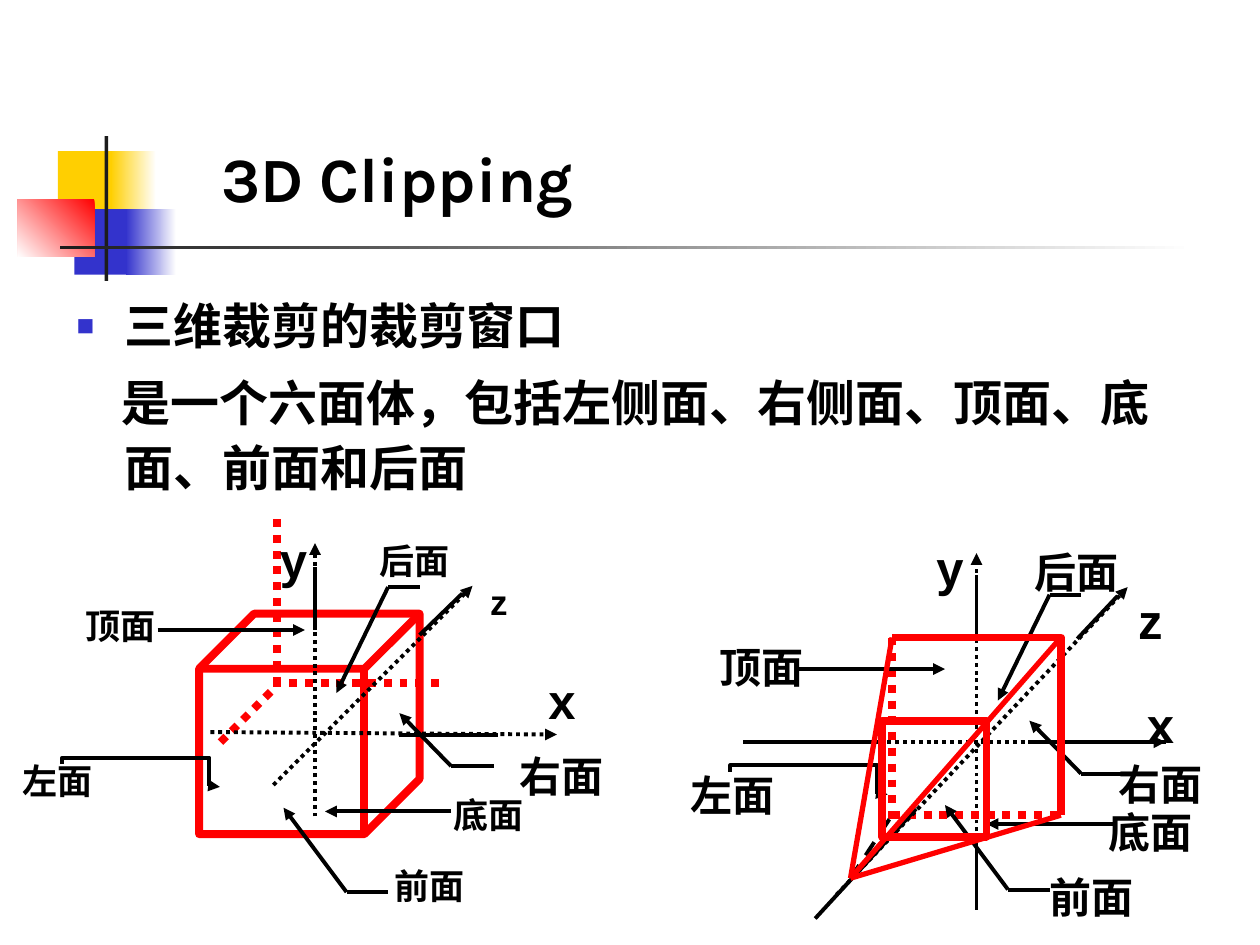
from lxml.etree import SubElement
from pptx import Presentation
from pptx.dml.color import RGBColor
from pptx.enum.dml import MSO_LINE as Dash
from pptx.enum.shapes import MSO_CONNECTOR as Link, MSO_SHAPE as Shape
from pptx.enum.text import MSO_ANCHOR as Anchor, PP_ALIGN as Align
from pptx.oxml.ns import qn
from pptx.util import Inches, Pt

RED, BLACK, WHITE, BLUE = "FF0000", "000000", "FFFFFF", "3333CC"
YELLOW, GREY = "FFCF01", "1C1C1C"
CJK = "Noto Sans CJK SC"


def color(value):
    return RGBColor.from_string(value)


class ClippingSlide:
    """Draws the elements of the clipping slide in one shared style."""

    def __init__(self, page):
        self.page = page
        self.shapes = page.shapes

    def start_group(self):
        self.shapes = self.page.shapes.add_group_shape().shapes

    def end_group(self):
        self.shapes = self.page.shapes

    def block(self, place, fill, fade=None, angle=180):
        shape = self.shapes.add_shape(Shape.RECTANGLE, *map(Inches, place))
        shape.shadow.inherit = False
        shape.line.fill.background()
        if fade is None:
            shape.fill.solid()
            shape.fill.fore_color.rgb = color(fill)
            return
        shape.fill.gradient()
        shape.fill.gradient_angle = angle
        for stop, value in zip(shape.fill.gradient_stops, (fill, fade)):
            stop.color.rgb = color(value)

    def stroke(self, shape, value, width):
        shape.line.color.rgb = color(value)
        shape.line.width = Pt(width)

    def outline(self, shape):
        shape.shadow.inherit = False
        shape.fill.background()
        self.stroke(shape, RED, 4.5)

    def solid_edges(self, kind, place):
        shape = self.shapes.add_shape(kind, *map(Inches, place))
        self.outline(shape)
        return shape

    def open_edges(self, points):
        start, *rest = [tuple(map(Inches, point)) for point in points]
        builder = self.shapes.build_freeform(*start)
        builder.add_line_segments(rest, close=False)
        self.outline(builder.convert_to_shape())

    def line(self, start, end, value=BLACK, width=2.25, dash=None,
             arrow=False, kind=Link.STRAIGHT):
        connector = self.shapes.add_connector(kind, *map(Inches, (*start, *end)))
        self.stroke(connector, value, width)
        if dash is not None:
            connector.line.dash_style = dash
        properties = connector._element.spPr
        if arrow:
            SubElement(properties.find(qn("a:ln")), qn("a:tailEnd"), type="triangle")
        SubElement(properties, qn("a:effectLst"))
        return connector

    def hidden_edge(self, start, end):
        self.line(start, end, RED, 4.5, Dash.ROUND_DOT)

    def axis(self, start, end):
        self.line(start, end, dash=Dash.ROUND_DOT, arrow=True)

    def elbow(self, left, top):
        connector = self.line((left + 0.18, top), (left, top + 1.25),
                              arrow=True, kind=Link.ELBOW)
        properties = connector._element.spPr
        properties.find(qn("a:xfrm")).set("rot", "16200000")
        geometry = properties.find(qn("a:prstGeom"))
        geometry.set("prst", "bentConnector4")
        guides = geometry.find(qn("a:avLst"))
        for name, value in (("adj1", -28500), ("adj2", 93300)):
            SubElement(guides, qn("a:gd"), name=name, fmla=f"val {value}")

    def callouts(self, left, front, bottom, right, top, back):
        self.elbow(*left)
        bends = ((front, -0.5, -0.67, 0.33), (right, -0.41, -0.42, 0.34),
                 (back, -0.41, 0.84, 0.25))
        for (x, y), across, down, shelf in bends:
            self.line((x, y), (x + across, y + down), arrow=True)
            self.line((x, y), (x + shelf, y))
        for (x, y), reach in ((bottom, -1), (top, 1.17)):
            self.line((x, y), (x + reach, y), arrow=True)

    def text_box(self, place, anchor=Anchor.TOP):
        box = self.shapes.add_textbox(*map(Inches, place))
        box.text_frame.word_wrap = True
        box.text_frame.vertical_anchor = anchor
        return box.text_frame

    def span(self, para, text, size, font):
        span = para.add_run()
        span.text = text
        span.font.name = font
        span.font.size = Pt(size)
        span.font.bold = True
        span.font.color.rgb = color(BLACK)
        SubElement(span._r.get_or_add_rPr(), qn("a:ea"), typeface=CJK)

    def label(self, text, left, top, size=24, font="Arial", width=0.92):
        height = {20: 0.44, 24: 0.5, 28: 0.57}[size]
        para = self.text_box((left, top, width, height)).paragraphs[0]
        para.alignment = Align.CENTER
        self.span(para, text, size, font)

    def title(self, text):
        frame = self.text_box((1.66, 0.99, 4.75, 0.77), Anchor.BOTTOM)
        self.span(frame.paragraphs[0], text, 36, "Karla")

    def body(self, heading, detail):
        frame = self.text_box((0.51, 2.25, 8.9, 1.83))
        first, second = frame.paragraphs[0], frame.add_paragraph()
        for para, text, indent in ((first, heading, -0.38), (second, detail, -0.02)):
            properties = para._p.get_or_add_pPr()
            properties.set("marL", str(Inches(0.38)))
            properties.set("indent", str(Inches(indent)))
            para.line_spacing = 1.1
            self.span(para, text, 28, "Karla")
        second.space_before = Pt(7)
        properties = first._p.get_or_add_pPr()
        tint = SubElement(properties, qn("a:buClr"))
        SubElement(tint, qn("a:srgbClr"), val=BLUE)
        SubElement(properties, qn("a:buSzPct"), val="60000")
        SubElement(properties, qn("a:buFont"), typeface="Arial")
        SubElement(properties, qn("a:buChar"), char="■")


def draw_decoration(slide):
    slide.block((0.46, 1.2, 0.48, 0.52), YELLOW)
    slide.block((0.88, 1.2, 0.36, 0.52), WHITE, YELLOW)
    slide.block((0.59, 1.66, 0.46, 0.52), BLUE)
    slide.block((1, 1.66, 0.4, 0.52), WHITE, BLUE)
    slide.block((0.14, 1.58, 0.61, 0.46), RED, WHITE, 225)
    slide.block((0.83, 1.08, 0.03, 1.15), GREY)
    slide.block((0.48, 1.95, 9, 0.03), WHITE, GREY)


def draw_parallel_window(slide):
    slide.hidden_edge((2.2, 4.12), (2.2, 5.42))
    slide.hidden_edge((1.75, 5.89), (2.17, 5.47))
    slide.hidden_edge((2.17, 5.42), (3.5, 5.42))
    slide.start_group()
    slide.label("右面", 4, 5.91)
    slide.label("x", 4, 5.27, 28)
    cube = slide.solid_edges(Shape.CUBE, (1.58, 4.87, 1.75, 1.75))
    cube.adjustments[0] = 0.25
    slide.axis((1.67, 5.81), (4.42, 5.83))
    slide.axis((2.5, 6.48), (2.5, 4.31))
    slide.axis((2.17, 6.23), (3.75, 4.65))
    slide.line((2.5, 5), (2.5, 4.5))
    slide.line((3.33, 5.04), (3.67, 4.71))
    slide.line((3.17, 5.83), (3.95, 5.83))
    slide.callouts(left=(1.03, 5.53), front=(2.75, 7.08), bottom=(3.58, 6.44),
                   right=(3.58, 6.08), top=(1.25, 5), back=(3.08, 4.66))
    for text, left, top in (("顶面", 0.5, 4.75), ("左面", 0, 5.98), ("后面", 2.83, 4.23),
                            ("前面", 2.95, 6.81), ("底面", 3.42, 6.25)):
        slide.label(text, left, top, 20, CJK)
    slide.label("y", 2.08, 4.15, 28, width=0.5)
    slide.label("z", 3.5, 4.56, 20)
    slide.end_group()


def draw_perspective_window(slide):
    eye, top_left, top_right, low_right = (6.75, 6.97), (7.08, 5.06), (8.42, 5.06), (8.42, 6.47)
    low_left = (7.08, 6.47)
    slide.start_group()
    slide.axis((6.67, 5.89), (9.25, 5.89))
    slide.axis((7.75, 7.22), (7.75, 4.39))
    slide.hidden_edge(top_left, (7.08, 6.56))
    slide.line(eye, low_left, dash=Dash.DASH)
    slide.hidden_edge(low_left, low_right)
    slide.axis((6.64, 7.1), (8.95, 4.66))
    for start, end in (((7.75, 5.06), (7.75, 4.56)), ((8.17, 5.89), (9.25, 5.89)),
                       ((7.75, 7.22), (7.75, 6.72)), ((8.55, 5.07), (8.87, 4.73)),
                       ((6.47, 7.29), (7.27, 6.42)), ((5.9, 5.89), (6.98, 5.89))):
        slide.line(start, end)
    slide.callouts(left=(6.33, 5.59), front=(8, 7.06), bottom=(8.83, 6.54),
                   right=(8.58, 6.14), top=(6.33, 5.31), back=(8.33, 4.72))
    for text, left, top in (("顶面", 5.58, 5.04), ("左面", 5.35, 6.06), ("后面", 8.08, 4.29),
                            ("右面", 8.75, 5.97), ("前面", 8.2, 6.87), ("底面", 8.67, 6.35)):
        slide.label(text, left, top)
    slide.open_edges((top_left, top_right, low_right))
    for corner in (top_left, top_right, low_right):
        slide.line(corner, eye, RED, 3)
    slide.solid_edges(Shape.RECTANGLE, (7, 5.72, 0.83, 0.92))
    for text, left, top in (("y", 7.08, 4.22), ("x", 8.75, 5.46), ("z", 8.67, 4.64)):
        slide.label(text, left, top, 28)
    slide.end_group()


def main():
    deck = Presentation()
    deck.slide_width, deck.slide_height = Inches(10), Inches(7.5)
    slide = ClippingSlide(deck.slides.add_slide(deck.slide_layouts[6]))
    draw_decoration(slide)
    slide.body("三维裁剪的裁剪窗口", "是一个六面体，包括左侧面、右侧面、顶面、底面、前面和后面")
    draw_parallel_window(slide)
    draw_perspective_window(slide)
    slide.title("3D Clipping")
    deck.save("out.pptx")


if __name__ == "__main__":
    main()
